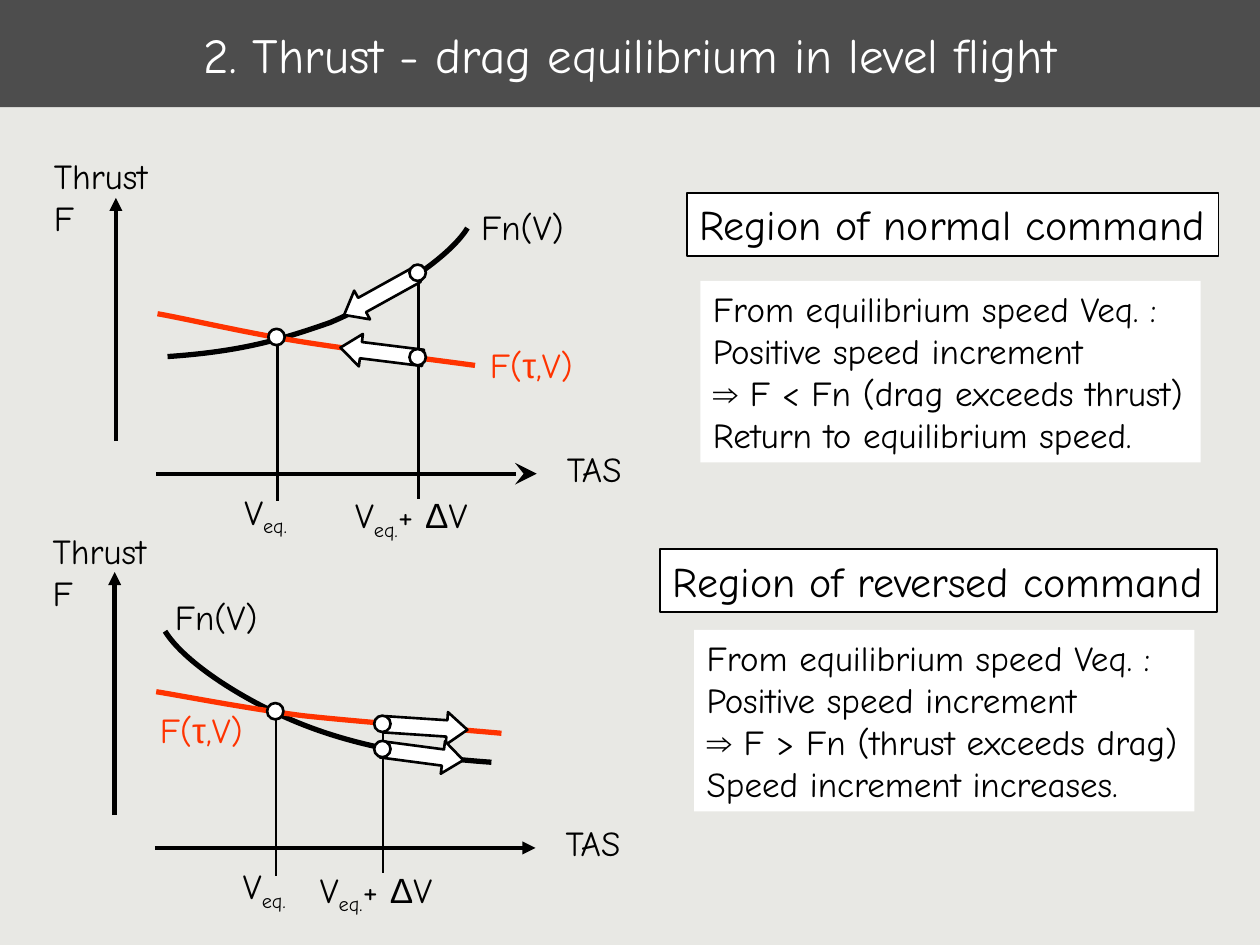
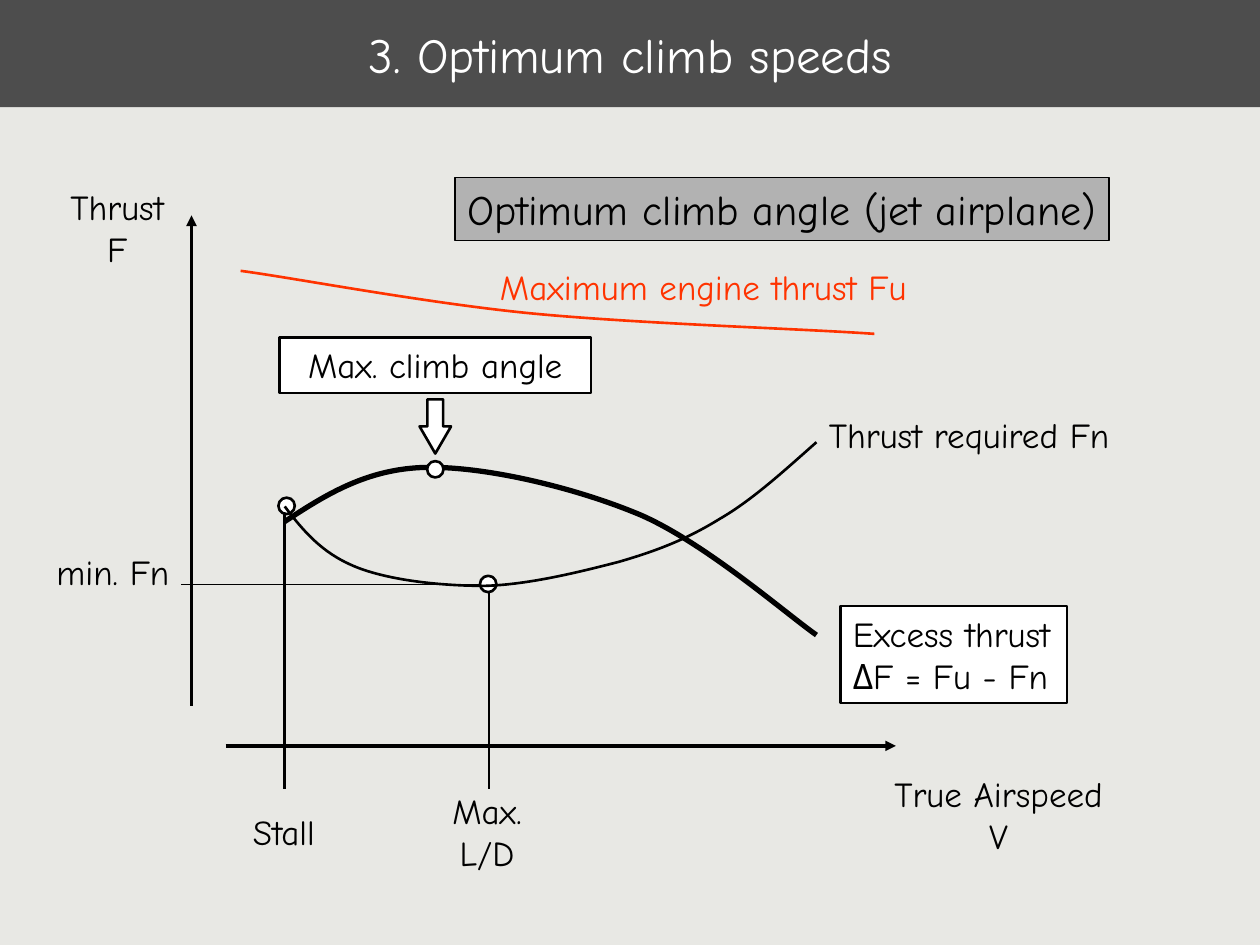
from dataclasses import dataclass
from itertools import groupby

from pptx import Presentation, util as u
from pptx.dml.color import RGBColor
from pptx.enum import shapes, text
from pptx.oxml.ns import qn
from pptx.oxml.xmlchemy import OxmlElement

Point = tuple[float, float]

BLACK, WHITE, RED = "000000", "FFFFFF", "FF3300"
BACKGROUND, BAND, GREY = "E8E8E4", "4D4D4D", "B2B2B2"
FONT, SYMBOL_FONT, SYMBOLS = "Comic Neue", "Arial", "τΔ⇒"
LEFT, CENTER = text.PP_ALIGN.LEFT, text.PP_ALIGN.CENTER
TOP, MIDDLE = text.MSO_ANCHOR.TOP, text.MSO_ANCHOR.MIDDLE
DOT = 0.13
TIP_SIZES = {"triangle": "med", "stealth": "lg"}


@dataclass
class Label:
    words: str
    left: float
    top: float
    width: float
    height: float = 0.43
    size: int = 20
    color: str = BLACK
    fill: str = ""
    border: float = 0
    align: int = LEFT
    anchor: int = TOP
    wrap: bool = False
    symbols: str = SYMBOLS


@dataclass
class Line:
    start: Point
    end: Point
    width: float = 1.5
    tip: str = ""


@dataclass
class Curve:
    points: list[Point]
    width: float = 3
    color: str = BLACK


@dataclass
class Arrow:
    left: float
    top: float
    rotation: float


@dataclass
class Regime:
    origin: Point
    tip: str
    heading: Label
    explanation: Label
    required: Label
    thrust: Label
    curves: list[Curve]
    faster: Line
    arrows: list[Arrow]
    dots: list[Point]


def rgb(value: str) -> RGBColor:
    return RGBColor.from_string(value)


def paint(shape, fill: str, border: float, color: str = BLACK) -> None:
    if fill:
        shape.fill.solid()
        shape.fill.fore_color.rgb = rgb(fill)
    else:
        shape.fill.background()
    if border:
        shape.line.color.rgb = rgb(color)
        shape.line.width = u.Pt(border)
    else:
        shape.line.fill.background()
    shape.shadow.inherit = False


def add_preset(page, kind: int, left: float, top: float, width: float, height: float,
               fill: str = WHITE, border: float = 1.5):
    shape = page.shapes.add_shape(kind, *map(u.Inches, (left, top, width, height)))
    paint(shape, fill, border)
    return shape


def add_words(para, words: str, label: Label) -> None:
    for index, part in enumerate(words.split("_")):
        for is_symbol, letters in groupby(part, lambda letter: letter in label.symbols):
            span = para.add_run()
            span.text = "".join(letters)
            span.font.name = SYMBOL_FONT if is_symbol else FONT
            span.font.size = u.Pt(label.size)
            span.font.color.rgb = rgb(label.color)
            if index % 2:
                span.font._element.set("baseline", "-25000")


def add_label(page, label: Label) -> None:
    place = (label.left, label.top, label.width, label.height)
    if label.fill:
        box = add_preset(page, shapes.MSO_SHAPE.RECTANGLE, *place, label.fill, label.border)
    else:
        box = page.shapes.add_textbox(*map(u.Inches, place))
    frame = box.text_frame
    frame.word_wrap = label.wrap
    frame.vertical_anchor = label.anchor
    frame.auto_size = text.MSO_AUTO_SIZE.NONE if label.anchor == MIDDLE \
        else text.MSO_AUTO_SIZE.SHAPE_TO_FIT_TEXT
    for index, words in enumerate(label.words.split("\n")):
        para = frame.add_paragraph() if index else frame.paragraphs[0]
        para.alignment = label.align
        add_words(para, words, label)


def add_line(page, line: Line) -> None:
    connector = page.shapes.add_connector(
        shapes.MSO_CONNECTOR.STRAIGHT, *map(u.Inches, line.start + line.end))
    connector.line.color.rgb = rgb(BLACK)
    connector.line.width = u.Pt(line.width)
    if line.tip:
        tail = OxmlElement("a:tailEnd")
        tail.set("type", line.tip)
        for side in ("w", "len"):
            tail.set(side, TIP_SIZES[line.tip])
        connector.line._get_or_add_ln().append(tail)
    connector._element.spPr.append(OxmlElement("a:effectLst"))


def add_curve(page, curve: Curve) -> None:
    start, *rest = [(u.Inches(x), u.Inches(y)) for x, y in curve.points]
    builder = page.shapes.build_freeform(*start)
    builder.add_line_segments(rest, close=False)
    shape = builder.convert_to_shape()
    paint(shape, "", curve.width, curve.color)
    segments = list(shape._element.spPr.iter(qn("a:lnTo")))
    for first in range(0, len(segments), 3):
        bezier = OxmlElement("a:cubicBezTo")
        segments[first].addprevious(bezier)
        for segment in segments[first:first + 3]:
            bezier.append(segment[0])
            segment.getparent().remove(segment)


def add_arrow(page, arrow: Arrow) -> None:
    shape = add_preset(page, shapes.MSO_SHAPE.LEFT_ARROW, arrow.left, arrow.top, 0.66, 0.26)
    shape.adjustments[0], shape.adjustments[1] = 0.5, 0.63
    shape.rotation = arrow.rotation


def add_dot(page, left: float, top: float) -> None:
    add_preset(page, shapes.MSO_SHAPE.OVAL, left, top, DOT, DOT)


def add_page(deck, title: str):
    page = deck.slides.add_slide(deck.slide_layouts[6])
    page.background.fill.solid()
    page.background.fill.fore_color.rgb = rgb(BACKGROUND)
    add_label(page, Label(title, 0, 0, 10, 0.85, 28, WHITE, BAND,
                          align=CENTER, anchor=MIDDLE, wrap=True))
    return page


def heading(words: str, left: float, top: float, width: float, fill: str = WHITE) -> Label:
    return Label(words, left, top, width, 0.5, 24, fill=fill, border=1)


def explanation(relation: str, outcome: str, left: float, top: float) -> Label:
    words = f"From equilibrium speed Veq. :\nPositive speed increment\n⇒ {relation}\n{outcome}"
    return Label(words, left, top, 3.97, 1.44, fill=WHITE)


def draw_regime(page, regime: Regime) -> None:
    x, y = regime.origin
    add_label(page, Label("TAS", x + 3.48, y - 0.26, 0.84))
    add_label(page, regime.heading)
    add_label(page, regime.required)
    add_line(page, Line((x, y - 0.26), (x, y - 2.19), 2.5, "triangle"))
    add_line(page, Line((x + 0.32, y), (x + 3.34, y), 2.5, regime.tip))
    for curve in regime.curves:
        add_curve(page, curve)
    add_label(page, regime.thrust)
    add_label(page, Label("Thrust\nF", x - 0.59, y - 2.58, 0.94, 0.76))
    add_line(page, Line((x + 1.28, y - 1.15), (x + 1.28, y + 0.22)))
    add_dot(page, x + 1.21, y - 1.15)
    add_label(page, Label("V_eq._", x + 0.92, y + 0.08, 0.62, 0.48, wrap=True))
    add_line(page, regime.faster)
    add_label(page, Label("V_eq._+ ΔV", regime.faster.start[0] - 0.6, y + 0.11,
                          1.21, 0.48, wrap=True))
    for arrow in regime.arrows:
        add_arrow(page, arrow)
    for dot in regime.dots:
        add_dot(page, *dot)
    add_label(page, regime.explanation)


REGIMES = [
    Regime(
        (0.92, 3.76), "stealth",
        heading("Region of normal command", 5.45, 1.53, 4.22),
        explanation("F < Fn (drag exceeds thrust)", "Return to equilibrium speed.", 5.56, 2.23),
        Label("Fn(V)", 3.72, 1.58, 1.04),
        Label("F(τ,V)", 3.79, 2.68, 1.05, color=RED),
        [Curve([(1.33, 2.83), (1.91, 2.79), (2.22, 2.7), (2.62, 2.56),
                (3.02, 2.39), (3.55, 2.07), (3.71, 1.81)]),
         Curve([(1.25, 2.49), (1.43, 2.52), (1.9, 2.63), (2.32, 2.7),
                (2.74, 2.77), (3.25, 2.83), (3.77, 2.9)], color=RED)],
        Line((3.32, 2.18), (3.32, 3.96)),
        [Arrow(2.7, 2.67, 7.1), Arrow(2.69, 2.21, 331)],
        [(3.25, 2.1), (3.25, 2.77)]),
    Regime(
        (0.91, 6.73), "triangle",
        heading("Region of reversed command", 5.24, 4.36, 4.42),
        explanation("F > Fn (thrust exceeds drag)", "Speed increment increases.", 5.51, 5),
        Label("Fn(V)", 1.29, 4.68, 1.04),
        Label("F(τ,V)", 1.17, 5.57, 1.05, color=RED),
        [Curve([(3.9, 6.05), (3.32, 6.01), (2.83, 5.92), (2.4, 5.75),
                (1.97, 5.58), (1.47, 5.27), (1.31, 5.01)]),
         Curve([(1.24, 5.49), (1.43, 5.52), (1.94, 5.62), (2.4, 5.68),
                (2.86, 5.73), (3.65, 5.79), (3.98, 5.82)], color=RED)],
        Line((3.04, 5.77), (3.04, 6.93)),
        [Arrow(3.05, 5.64, 183.8), Arrow(3.02, 5.86, 187.5)],
        [(2.97, 5.88), (2.97, 5.68)]),
]

REQUIRED_CURVE = Curve(
    [(2.26, 4.02), (2.44, 4.26), (2.59, 4.41), (2.85, 4.51), (3.12, 4.61), (3.51, 4.65),
     (3.85, 4.65), (4.2, 4.64), (4.6, 4.54), (4.91, 4.46), (5.22, 4.37), (5.45, 4.28),
     (5.71, 4.12), (5.97, 3.97), (6.22, 3.74), (6.48, 3.51)], 1.5)
ENGINE_CURVE = Curve(
    [(1.91, 2.15), (2.3, 2.2), (3.4, 2.41), (4.24, 2.49),
     (5.08, 2.57), (6.37, 2.61), (6.94, 2.65)], 1.5, RED)
EXCESS_CURVE = Curve(
    [(2.26, 4.14), (2.58, 3.93), (2.91, 3.72), (3.38, 3.71), (3.85, 3.7), (4.57, 3.87),
     (5.09, 4.09), (5.61, 4.32), (6.25, 4.88), (6.48, 5.04)])
CLIMB_LINES = [
    Line((1.44, 4.64), (3.8, 4.64), 1),
    Line((3.88, 4.68), (3.88, 6.26)),
    Line((2.26, 4.01), (2.26, 6.26)),
    Line((1.79, 5.92), (7.11, 5.92), 2, "triangle"),
    Line((1.52, 5.6), (1.52, 1.71), 2, "triangle"),
]
CLIMB_LABELS = [
    Label("Max.\nL/D", 3.49, 6.22, 0.75, 0.76, align=CENTER),
    Label("min. Fn", 0.35, 4.32, 1.1),
    Label("Thrust\nF", 0.46, 1.42, 0.94, 0.76, align=CENTER),
    Label("True Airspeed\nV", 6.95, 6.08, 1.95, 0.76, align=CENTER),
    Label("Stall", 1.91, 6.38, 0.7),
    Label("Thrust required Fn", 6.48, 3.23, 2.44, 0.44),
    Label("Maximum engine thrust Fu", 3.87, 2.06, 3.43, 0.44, color=RED),
    Label("Excess thrust\nΔF = Fu - Fn", 6.67, 4.81, 1.8, 0.77, fill=WHITE, border=1.5,
          symbols=""),
    Label("Max. climb angle", 2.22, 2.68, 2.47, 0.44, fill=WHITE, border=1.5,
          align=CENTER, wrap=True),
    heading("Optimum climb angle (jet airplane)", 3.61, 1.41, 5.19, GREY),
]


def draw_climb(page) -> None:
    for line in CLIMB_LINES:
        add_line(page, line)
    for dot in [(3.81, 4.57), (2.21, 3.95)]:
        add_dot(page, *dot)
    for curve in (REQUIRED_CURVE, ENGINE_CURVE, EXCESS_CURVE):
        add_curve(page, curve)
    add_dot(page, 3.39, 3.66)
    for label in CLIMB_LABELS:
        add_label(page, label)
    pointer = add_preset(page, shapes.MSO_SHAPE.DOWN_ARROW, 3.33, 3.17, 0.25, 0.43)
    pointer.adjustments[0], pointer.adjustments[1] = 0.5, 0.86


def main() -> None:
    deck = Presentation()
    deck.slide_width, deck.slide_height = u.Inches(10), u.Inches(7.5)
    equilibrium = add_page(deck, "2. Thrust - drag equilibrium in level flight")
    for regime in REGIMES:
        draw_regime(equilibrium, regime)
    draw_climb(add_page(deck, "3. Optimum climb speeds"))
    deck.save("out.pptx")


if __name__ == "__main__":
    main()
